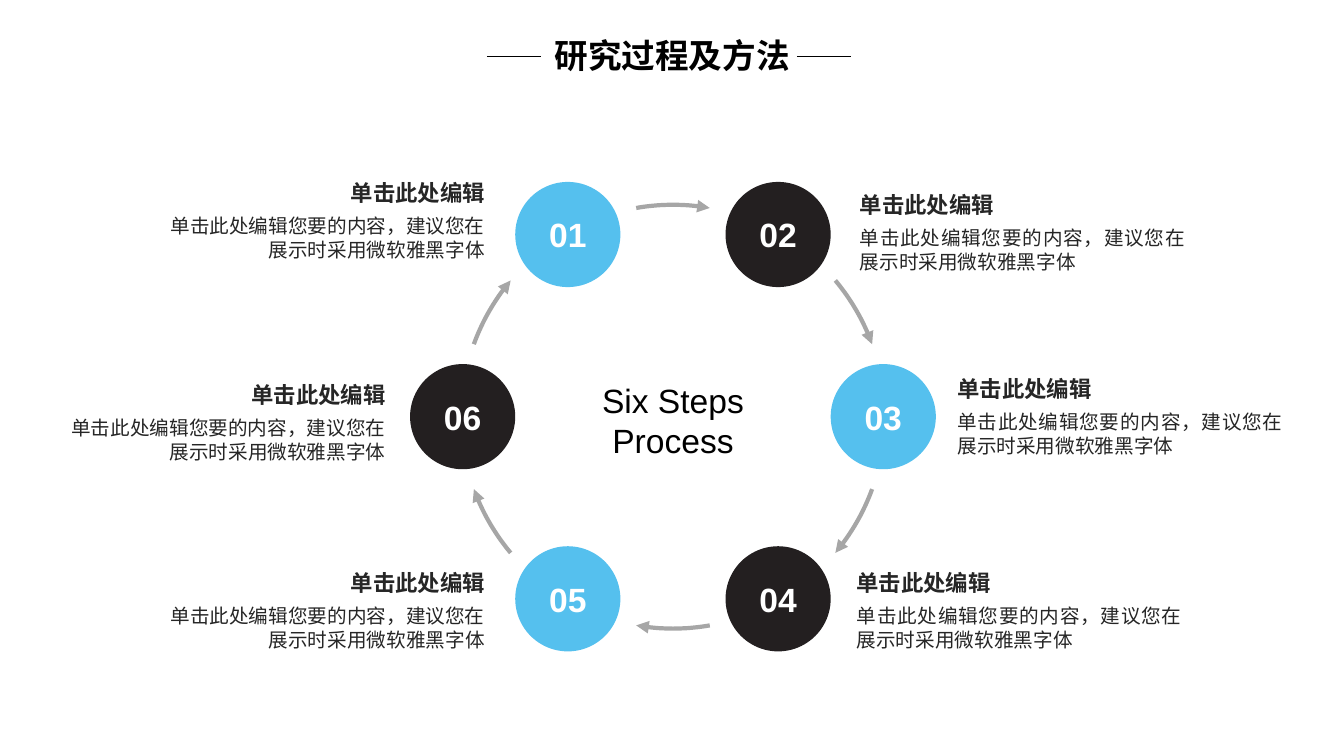
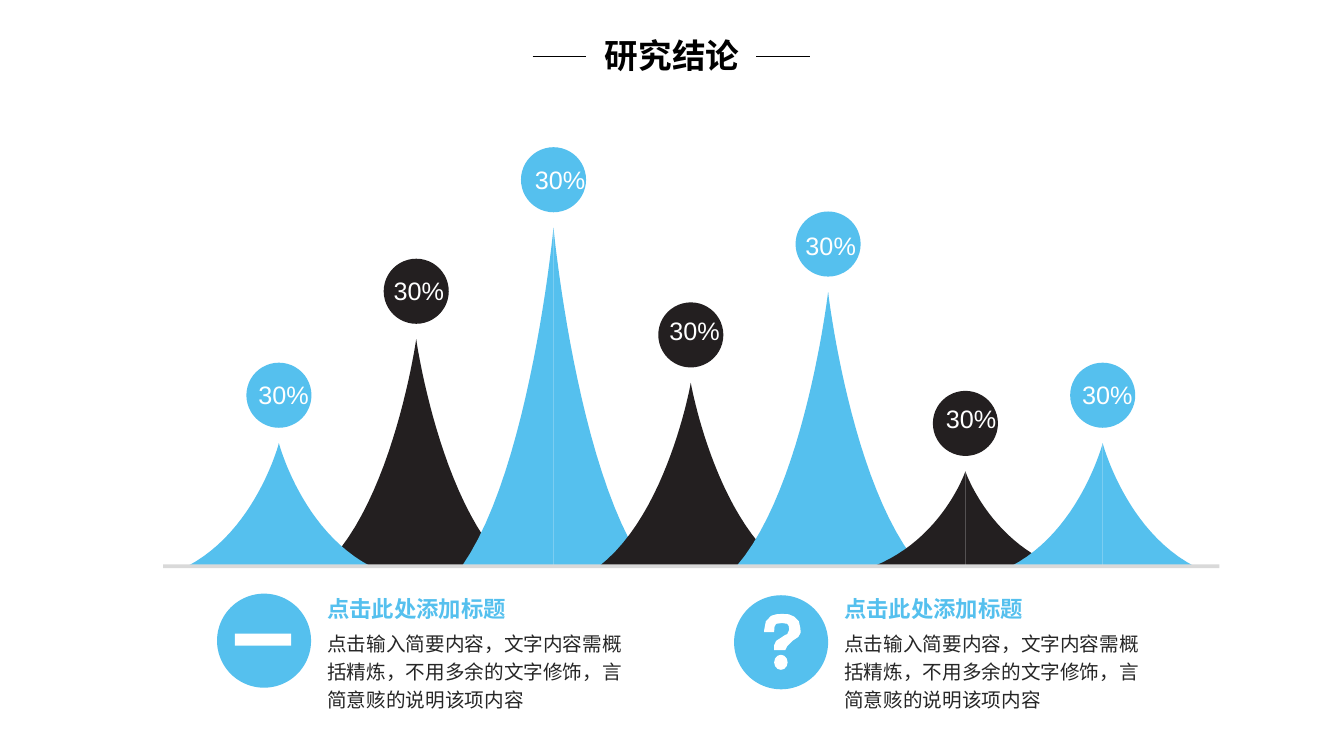
from math import cos, radians, sin

from lxml.etree import SubElement
from pptx import Presentation
from pptx.dml.color import RGBColor
from pptx.enum.shapes import MSO_CONNECTOR as Connector, MSO_SHAPE as Preset
from pptx.enum.text import MSO_ANCHOR as Anchor, PP_ALIGN as Align
from pptx.oxml.ns import qn
from pptx.util import Cm, Pt

BLUE, DARK, WHITE, BLACK = "55C0EE", "231F20", "FFFFFF", "000000"
TEXT_GREY, ARROW_GREY, BASE_GREY = "262626", "A6A6A6", "D9D9D9"
LATIN, CJK = "Arial", "Noto Sans CJK SC"

RING_X, RING_Y, RING_RADIUS, STEP_SIZE = 16.96, 10.5, 5.3, 2.65
STEP_HEAD = "单击此处编辑"
STEP_BODY = "单击此处编辑您要的内容，建议您在展示时采用微软雅黑字体"
# number, angle from the top, text edge, text top
STEPS = [
    ("01", -30, 12.47, 4.32),
    ("02", 30, 21.42, 4.62),
    ("03", 90, 23.88, 9.27),
    ("04", 150, 21.34, 14.15),
    ("05", 210, 12.47, 14.15),
    ("06", 270, 9.97, 9.42),
]

BASE_Y, PEAK_X, PEAK_GAP, PEAK_HALF, BUBBLE_SIZE = 14.27, 7.03, 3.46, 2.31, 1.64
# place in the row, height, label offset across and down
PEAKS = [
    (1, 5.72, 0, 0.3),
    (2, 8.53, 0.1, 0.3),
    (0, 3.1, 0.05, 0.3),
    (3, 4.62, 0.03, 0.2),
    (4, 6.91, 0, 0.36),
    (5, 2.39, 0.08, 0.2),
    (6, 3.1, 0.05, 0.3),
]

NOTE_HEAD = "点击此处添加标题"
NOTE_BODY = "点击输入简要内容，文字内容需概括精炼，不用多余的文字修饰，言简意赅的说明该项内容"
ICON_SIZE = 2.37
QUESTION_HOOK = [
    (1.6, 1.09), (1.45, 1.19), (1.37, 1.27), (1.32, 1.32), (1.27, 1.42), (0.99, 1.42),
    (0.99, 1.3), (1.04, 1.19), (1.27, 1.04), (1.32, 1.02), (1.37, 0.91), (1.36, 0.82),
    (1.32, 0.76), (1.19, 0.74), (1.04, 0.76), (1, 0.83), (0.99, 0.97), (0.74, 0.97),
    (0.74, 0.91), (0.78, 0.7), (0.91, 0.56), (1.04, 0.52), (1.19, 0.51), (1.36, 0.52),
    (1.5, 0.58), (1.61, 0.69), (1.65, 0.86), (1.66, 0.98),
]


def color(value):
    """Turn a hex string into a colour."""
    return RGBColor.from_string(value)


def write_text(shape, text, size, ink, font=LATIN, bold=False, align=Align.LEFT, spacing=None):
    """Put text into a shape and format every run."""
    frame = shape.text_frame
    frame.word_wrap = True
    frame.text = text
    for paragraph in frame.paragraphs:
        paragraph.alignment = align
        paragraph.line_spacing = spacing
        for run in paragraph.runs:
            run.font.size = Pt(size)
            run.font.bold = bold
            run.font.color.rgb = color(ink)
            run.font.name = font
            SubElement(run.font._element, qn("a:ea")).set("typeface", CJK)


def center_text(shape):
    """Anchor text in the middle without margins."""
    frame = shape.text_frame
    frame.vertical_anchor = Anchor.MIDDLE
    frame.margin_left = frame.margin_right = frame.margin_top = frame.margin_bottom = 0


def add_text(slide, left, top, width, height, text, size, ink, **style):
    """Add a text box with formatted text."""
    box = slide.shapes.add_textbox(Cm(left), Cm(top), Cm(width), Cm(height))
    write_text(box, text, size, ink, **style)
    return box


def paint(shape, fill):
    """Give a shape a plain fill without line or shadow."""
    shape.shadow.inherit = False
    shape.fill.solid()
    shape.fill.fore_color.rgb = color(fill)
    shape.line.fill.background()


def add_preset(slide, preset, left, top, width, height, fill):
    """Add a plain filled preset shape."""
    shape = slide.shapes.add_shape(preset, Cm(left), Cm(top), Cm(width), Cm(height))
    paint(shape, fill)
    return shape


def add_outline(slide, points, close):
    """Add a freeform through points given in centimetres."""
    corners = [(Cm(x), Cm(y)) for x, y in points]
    builder = slide.shapes.build_freeform(*corners[0])
    builder.add_line_segments(corners[1:], close=close)
    return builder.convert_to_shape()


def add_rule(slide, left, top, width):
    """Add a thin horizontal line."""
    rule = slide.shapes.add_connector(
        Connector.STRAIGHT, Cm(left), Cm(top), Cm(left + width), Cm(top))
    rule.line.color.rgb = color(BLACK)
    rule.line.width = Pt(1)
    SubElement(rule._element.spPr, qn("a:effectLst"))


def add_title(slide, text, rule_starts):
    """Add the slide title between two rules."""
    add_text(slide, 11.58, 0.76, 10.72, 1.27, text, 24, BLACK,
             font=CJK, bold=True, align=Align.CENTER)
    for left in rule_starts:
        add_rule(slide, left, 1.42, 1.36)


def ring_point(angle, radius):
    """Return the ring point at an angle clockwise from the top."""
    turn = radians(angle)
    return RING_X + radius * sin(turn), RING_Y - radius * cos(turn)


def add_ring_arrow(slide, angle):
    """Add a curved arrow centred on an angle of the ring."""
    points = [ring_point(angle + step, 5.34) for step in range(-10, 11)]
    arrow = add_outline(slide, points, close=False)
    arrow.shadow.inherit = False
    arrow.fill.background()
    arrow.line.color.rgb = color(ARROW_GREY)
    arrow.line.width = Pt(3)
    SubElement(arrow.line._get_or_add_ln(), qn("a:tailEnd")).set("type", "triangle")


def add_step(slide, number, angle, edge, top):
    """Add a numbered circle with its heading and description."""
    x, y = ring_point(angle, RING_RADIUS)
    fill = BLUE if int(number) % 2 else DARK
    circle = add_preset(slide, Preset.OVAL, x - STEP_SIZE / 2, y - STEP_SIZE / 2,
                        STEP_SIZE, STEP_SIZE, fill)
    write_text(circle, number, 24, WHITE, bold=True, align=Align.CENTER)
    center_text(circle)
    on_left = edge < RING_X
    head_width, body_width = 6.48, 8.69
    add_text(slide, edge - on_left * body_width, top + 0.94, body_width, 1.47, STEP_BODY,
             14, TEXT_GREY, align=Align.RIGHT if on_left else Align.JUSTIFY, spacing=Pt(17))
    add_text(slide, edge - on_left * head_width, top, head_width, 1.02, STEP_HEAD, 16,
             TEXT_GREY, bold=True, align=Align.RIGHT if on_left else Align.LEFT, spacing=1.1)


def add_peak(slide, place, height):
    """Add a pointed mountain made of two curved halves."""
    x = PEAK_X + place * PEAK_GAP
    for side in (-1, 1):
        points = [(x, BASE_Y)]
        for step in range(25):
            t = step / 24
            bend, end = 3 * t * t * (1 - t), t ** 3
            points.append((x + side * PEAK_HALF * (0.25 * bend + end),
                           BASE_Y - height * (1 - 0.71 * bend - end)))
        paint(add_outline(slide, points, close=True), DARK if place % 2 else BLUE)


def add_bubble(slide, place, height, label_x, label_y):
    """Add the percentage bubble above a mountain."""
    left = PEAK_X + place * PEAK_GAP - BUBBLE_SIZE / 2
    top = BASE_Y - height - 2.03
    add_preset(slide, Preset.OVAL, left, top, BUBBLE_SIZE, BUBBLE_SIZE,
               DARK if place % 2 else BLUE)
    add_text(slide, left + label_x, top + label_y, 1.83, 1.02, "30%", 18, WHITE)


def add_note(slide, left, icon_top):
    """Add a round icon base with a heading and a description."""
    add_preset(slide, Preset.OVAL, left - 2.53, icon_top, ICON_SIZE, ICON_SIZE, BLUE)
    body = add_text(slide, left, 15.67, 8.05, 2.41, NOTE_BODY, 14, TEXT_GREY,
                    font=CJK, spacing=1.2)
    body.text_frame.paragraphs[0].space_before = Pt(3)
    add_text(slide, left, 14.88, 5.97, 0.94, NOTE_HEAD, 16, BLUE, font=CJK, bold=True)


def build_process(slide):
    """Build the six step ring."""
    add_title(slide, "研究过程及方法", (12.27, 20.08))
    center = add_text(slide, 14.05, 7.67, 5.82, 5.82, "Six Steps\nProcess", 24, BLACK,
                      align=Align.CENTER)
    center_text(center)
    for angle in range(0, 360, 60):
        add_ring_arrow(slide, angle)
    for step in STEPS:
        add_step(slide, *step)


def build_conclusion(slide):
    """Build the mountain row and the two notes."""
    add_title(slide, "研究结论", (13.42, 19.06))
    for place, height, *_ in PEAKS:
        add_peak(slide, place, height)
    for peak in PEAKS:
        add_bubble(slide, *peak)
    add_preset(slide, Preset.RECTANGLE, 4.11, 14.22, 26.62, 0.1, BASE_GREY)
    add_note(slide, 8, 14.96)
    add_preset(slide, Preset.RECTANGLE, 5.92, 15.97, 1.42, 0.3, WHITE)
    add_note(slide, 21.03, 15)
    hook = [(18.52 + x, 14.96 + y) for x, y in QUESTION_HOOK]
    paint(add_outline(slide, hook, close=True), WHITE)
    add_preset(slide, Preset.OVAL, 19.51, 16.5, 0.34, 0.38, WHITE)


def main():
    """Build and save the presentation."""
    presentation = Presentation()
    presentation.slide_width, presentation.slide_height = Cm(33.87), Cm(19.05)
    for build in (build_process, build_conclusion):
        build(presentation.slides.add_slide(presentation.slide_layouts[6]))
    presentation.save("out.pptx")


if __name__ == "__main__":
    main()
